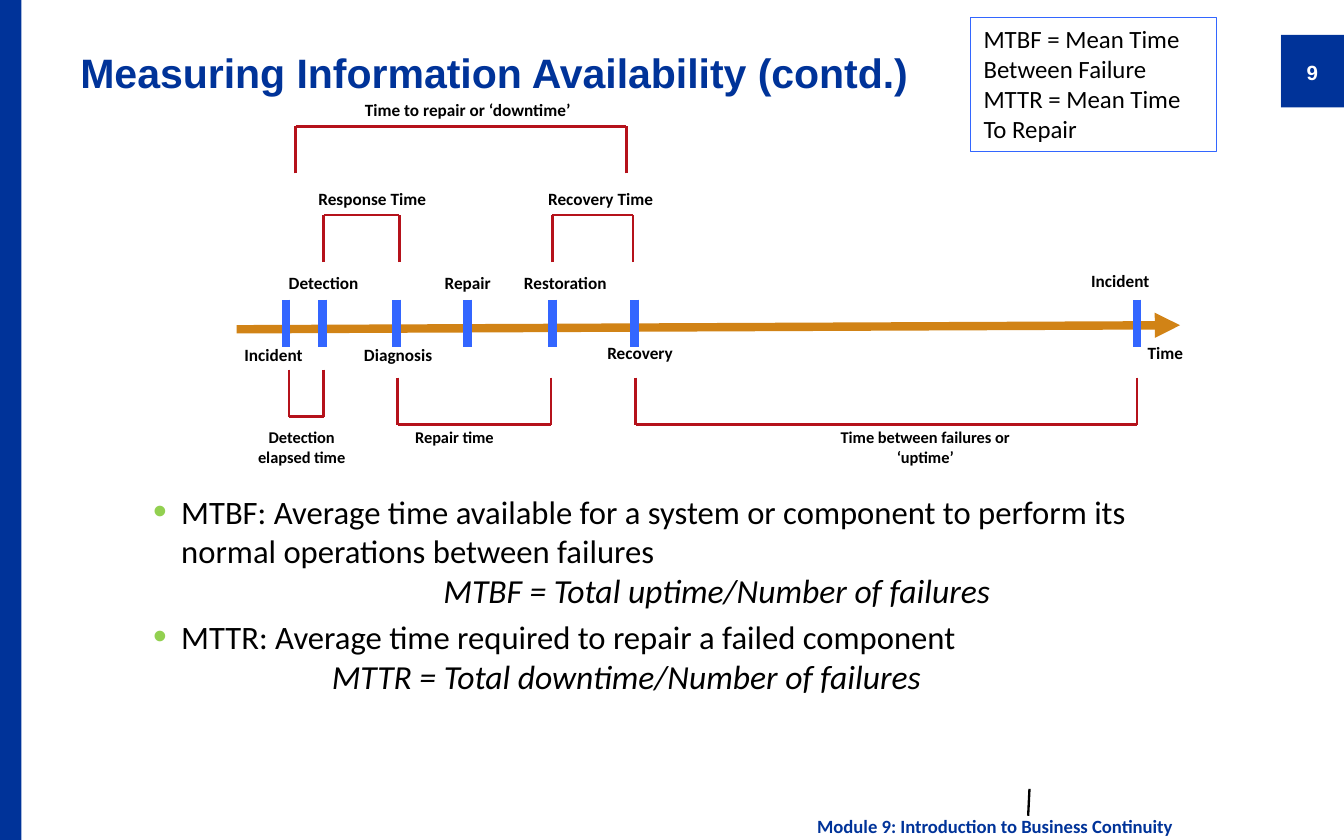
from dataclasses import dataclass

from lxml.etree import SubElement
from pptx import Presentation
from pptx.dml.color import RGBColor
from pptx.enum.shapes import MSO_CONNECTOR, MSO_SHAPE
from pptx.enum.text import MSO_ANCHOR, PP_ALIGN
from pptx.oxml.ns import qn
from pptx.util import Inches, Pt

COLORS = {
    "navy": "003399",
    "white": "FFFFFF",
    "black": "000000",
    "timeline": "D18316",
    "bracket": "B5121B",
    "event": "3366FF",
    "bullet": "92D050",
}
EVENT_TIMES = [2.13, 2.4, 2.95, 3.48, 4.11, 4.72, 8.46]
EVENT_TOP, EVENT_BOTTOM = 2.23, 2.58
BRACKET_DEPTH = 0.35


@dataclass
class Label:
    text: str
    left: float
    top: float
    width: float
    height: float = 0.26
    size: float = 9.2
    align: PP_ALIGN = PP_ALIGN.LEFT


@dataclass
class Bracket:
    start: float
    end: float
    open_y: float
    direction: int


@dataclass
class Definition:
    term: str
    formula: str
    formula_indent: float


LABELS = [
    Label("Time to repair or ‘downtime’", 2.13, 0.69, 2.7, align=PP_ALIGN.CENTER),
    Label("Response Time", 2.27, 1.35, 1.41),
    Label("Recovery Time", 3.98, 1.35, 1.39),
    Label("Detection", 2.05, 1.98, 0.9),
    Label("Repair", 3.21, 1.98, 0.69),
    Label("Restoration", 3.8, 1.98, 0.99),
    Label("Incident", 8.02, 1.96, 0.76),
    Label("Incident", 1.72, 2.51, 0.9),
    Label("Diagnosis", 2.61, 2.51, 0.9),
    Label("Recovery", 4.42, 2.5, 0.89),
    Label("Time", 8.44, 2.5, 0.62),
    Label("Detection elapsed time", 1.82, 3.13, 0.85, 0.4, 8.8, PP_ALIGN.CENTER),
    Label("Repair time", 2.99, 3.13, 0.98, 0.25, 8.8),
    Label("Time between failures or ‘uptime’", 5.95, 3.13, 1.87, 0.4, 8.8, PP_ALIGN.CENTER),
]
BRACKETS = [
    Bracket(2.2, 4.66, 1.29, -1),
    Bracket(2.41, 2.97, 1.95, -1),
    Bracket(4.11, 4.71, 1.95, -1),
    Bracket(2.15, 2.41, 2.75, 1),
    Bracket(2.96, 4.1, 2.81, 1),
    Bracket(4.73, 8.46, 2.81, 1),
]
DEFINITIONS = [
    Definition(
        "MTBF: Average time available for a system or component to perform its "
        "normal operations between failures",
        "MTBF = Total uptime/Number of failures",
        2.16,
    ),
    Definition(
        "MTTR: Average time required to repair a failed component",
        "MTTR = Total downtime/Number of failures",
        1.33,
    ),
]


def color(name: str) -> RGBColor:
    return RGBColor.from_string(COLORS[name])


def add_block(slide, left: float, top: float, width: float, height: float):
    block = slide.shapes.add_shape(
        MSO_SHAPE.RECTANGLE, Inches(left), Inches(top), Inches(width), Inches(height)
    )
    block.shadow.inherit = False
    block.fill.solid()
    block.fill.fore_color.rgb = color("navy")
    block.line.fill.background()


def add_line(shapes, start: tuple, end: tuple, color_name: str, width: float):
    line = shapes.add_connector(
        MSO_CONNECTOR.STRAIGHT, *(Inches(value) for value in (*start, *end))
    )
    line.line.color.rgb = color(color_name)
    line.line.width = Pt(width)
    SubElement(line._element.spPr, qn("a:effectLst"))
    return line


def style_paragraph(paragraph, size: float, color_name: str = "black", font: str = "Calibri",
                    bold: bool = False, italic: bool = False):
    for run in paragraph.runs:
        run.font.name = font
        run.font.size = Pt(size)
        run.font.bold = bold
        run.font.italic = italic
        run.font.color.rgb = color(color_name)


def add_text(slide, label: Label, color_name: str = "black", font: str = "Calibri",
             bold: bool = True, anchor: MSO_ANCHOR = MSO_ANCHOR.TOP):
    box = slide.shapes.add_textbox(
        Inches(label.left), Inches(label.top), Inches(label.width), Inches(label.height)
    )
    frame = box.text_frame
    frame.word_wrap = True
    frame.vertical_anchor = anchor
    frame.text = label.text
    for paragraph in frame.paragraphs:
        paragraph.alignment = label.align
        style_paragraph(paragraph, label.size, color_name, font, bold)
    return box


def add_bracket(slide, bracket: Bracket):
    shapes = slide.shapes.add_group_shape().shapes
    bar_y = bracket.open_y + bracket.direction * BRACKET_DEPTH
    for x in (bracket.start, bracket.end):
        add_line(shapes, (x, bracket.open_y), (x, bar_y), "bracket", 1.5)
    add_line(shapes, (bracket.start, bar_y), (bracket.end, bar_y), "bracket", 1.5)


def set_indent(paragraph, left: float, first: float = 0):
    properties = paragraph._p.get_or_add_pPr()
    properties.set("marL", str(Inches(left)))
    properties.set("indent", str(Inches(first)))
    return properties


def add_bullet(paragraph):
    properties = set_indent(paragraph, 0.21, -0.21)
    bullet_color = SubElement(properties, qn("a:buClr"))
    SubElement(bullet_color, qn("a:srgbClr"), val=COLORS["bullet"])
    SubElement(properties, qn("a:buSzPct"), val="120000")
    SubElement(properties, qn("a:buFont"), typeface="Arial")
    SubElement(properties, qn("a:buChar"), char="•")


def add_definitions(slide, definitions: list[Definition]):
    box = slide.shapes.add_textbox(Inches(1.04), Inches(3.61), Inches(7.92), Inches(2))
    frame = box.text_frame
    frame.word_wrap = True
    for index, definition in enumerate(definitions):
        term = frame.add_paragraph() if index else frame.paragraphs[0]
        term.text = definition.term
        add_bullet(term)
        if index:
            term.space_before = Pt(3.5)
        style_paragraph(term, 17.5)
        formula = frame.add_paragraph()
        formula.text = definition.formula
        set_indent(formula, definition.formula_indent)
        style_paragraph(formula, 18, italic=True)


def main():
    deck = Presentation()
    deck.slide_width, deck.slide_height = Inches(10), Inches(6.25)
    slide = deck.slides.add_slide(deck.slide_layouts[6])

    add_block(slide, 9.53, 0.26, 0.47, 0.54)
    add_block(slide, 0, 0, 0.16, 6.25)
    add_line(slide.shapes, (7.66, 5.87), (7.65, 6.07), "black", 1.25)

    title = Label("Measuring Information Availability (contd.)", 0.5, 0.25, 9.03, 0.57, 22)
    title_box = add_text(slide, title, "navy", "Arial", anchor=MSO_ANCHOR.MIDDLE)
    title_box.fill.solid()
    title_box.fill.fore_color.rgb = color("white")
    page = Label("9", 9.53, 0.3, 0.47, 0.47, 11, PP_ALIGN.CENTER)
    add_text(slide, page, "white", "Arial", anchor=MSO_ANCHOR.MIDDLE)
    footer = Label("Module 9: Introduction to Business Continuity",
                   5, 6.04, 3.82, 0.21, 10, PP_ALIGN.RIGHT)
    add_text(slide, footer, "navy", anchor=MSO_ANCHOR.MIDDLE)

    add_definitions(slide, DEFINITIONS)

    timeline = add_line(slide.shapes, (1.76, 2.45), (8.78, 2.42), "timeline", 4.5)
    SubElement(timeline.line._get_or_add_ln(), qn("a:tailEnd"), type="triangle")
    for x in EVENT_TIMES:
        add_line(slide.shapes, (x, EVENT_TOP), (x, EVENT_BOTTOM), "event", 4.5)
    for bracket in BRACKETS:
        add_bracket(slide, bracket)
    for label in LABELS:
        add_text(slide, label)

    acronyms = Label("MTBF = Mean Time Between Failure\nMTTR = Mean Time To Repair",
                     7.22, 0.13, 1.83, 1, 13.3)
    acronym_box = add_text(slide, acronyms, bold=False)
    acronym_box.line.color.rgb = color("event")
    acronym_box.line.width = Pt(0.75)

    deck.save("out.pptx")


if __name__ == "__main__":
    main()
